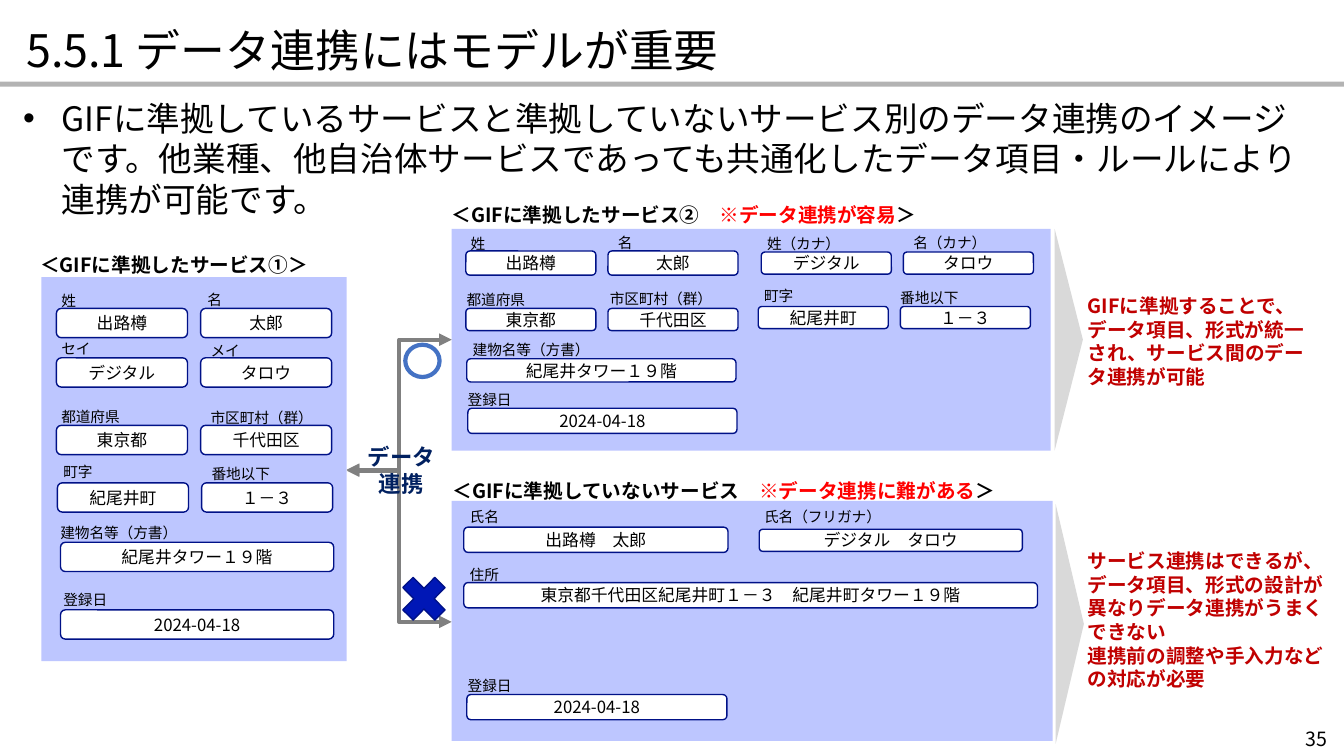
from dataclasses import dataclass

from lxml import etree
from pptx import Presentation
from pptx import util as u
from pptx.dml.color import RGBColor
from pptx.enum import shapes, text
from pptx.oxml import ns

SHAPE = shapes.MSO_SHAPE
ALIGN = text.PP_ALIGN


@dataclass(frozen=True)
class Theme:
    font: str = "Noto Sans CJK JP"
    ink: str = "000000"
    alert: str = "FF0000"
    remark: str = "C00000"
    link_ink: str = "002060"
    rule: str = "B3B3B3"
    panel: str = "BDC6FF"
    field: str = "FFFFFF"
    outline: str = "001187"
    cross: str = "0017B6"
    circle: str = "4472C4"
    arrow: str = "808080"
    wedge: str = "D9D9D9"
    title_size: float = 32
    body_size: float = 24
    link_size: float = 16
    heading_size: float = 14
    value_size: float = 12
    label_size: float = 10.5


THEME = Theme()

# Each field: label, label left, label top, value, box left, top, width, height
SERVICE_1 = [
    ("姓", 0.51, 2.85, "出路樽", 0.56, 3.06, 1.3, 0.29),
    ("名", 1.96, 2.84, "太郎", 1.99, 3.06, 1.3, 0.29),
    ("セイ", 0.51, 3.32, "デジタル", 0.56, 3.55, 1.3, 0.29),
    ("メイ", 1.99, 3.34, "タロウ", 1.99, 3.55, 1.3, 0.29),
    ("都道府県", 0.51, 4.0, "東京都", 0.56, 4.22, 1.3, 0.29),
    ("市区町村（群）", 1.99, 4.01, "千代田区", 1.99, 4.22, 1.3, 0.29),
    ("町字", 0.53, 4.54, "紀尾井町", 0.57, 4.79, 1.3, 0.29),
    ("番地以下", 2.0, 4.56, "１－３", 2.0, 4.79, 1.3, 0.29),
    ("建物名等（方書）", 0.5, 5.15, "紀尾井タワー１９階", 0.6, 5.38, 2.71, 0.29),
    ("登録日", 0.53, 5.81, "2024-04-18", 0.6, 6.05, 2.71, 0.29),
]
SERVICE_2 = [
    ("姓", 4.57, 2.28, "出路樽", 4.62, 2.49, 1.29, 0.24),
    ("名", 6.03, 2.27, "太郎", 6.03, 2.49, 1.29, 0.24),
    ("姓（カナ）", 7.51, 2.28, "デジタル", 7.55, 2.5, 1.29, 0.22),
    ("名（カナ）", 8.96, 2.27, "タロウ", 8.96, 2.5, 1.29, 0.22),
    ("都道府県", 4.53, 2.84, "東京都", 4.62, 3.06, 1.29, 0.22),
    ("市区町村（群）", 5.95, 2.83, "千代田区", 6.03, 3.06, 1.29, 0.22),
    ("町字", 7.48, 2.8, "紀尾井町", 7.52, 3.04, 1.29, 0.22),
    ("番地以下", 8.83, 2.82, "１－３", 8.93, 3.04, 1.29, 0.22),
    ("建物名等（方書）", 4.59, 3.33, "紀尾井タワー１９階", 4.63, 3.56, 2.67, 0.23),
    ("登録日", 4.54, 3.83, "2024-04-18", 4.64, 4.05, 2.67, 0.25),
]
OTHER_SERVICE = [
    ("氏名", 4.56, 4.99, "出路樽　太郎", 4.6, 5.23, 2.62, 0.25),
    ("氏名（フリガナ）", 7.48, 4.99, "デジタル　タロウ", 7.53, 5.25, 2.61, 0.22),
    ("住所", 4.56, 5.56, "東京都千代田区紀尾井町１－３　紀尾井町タワー１９階",
     4.6, 5.78, 5.69, 0.25),
    ("登録日", 4.54, 6.67, "2024-04-18", 4.63, 6.89, 2.58, 0.25),
]


def rgb(code):
    return RGBColor.from_string(code)


def inches(*lengths):
    return [u.Inches(length) for length in lengths]


def write(frame, *paragraphs, size, color=THEME.ink, bold=False,
          align=ALIGN.LEFT, spacing=None):
    """Fill a frame; a paragraph is a string or a list of (text, colour)."""
    for index, content in enumerate(paragraphs):
        line = frame.paragraphs[0] if index == 0 else frame.add_paragraph()
        line.alignment = align
        line.space_before = u.Pt(0)
        line.line_spacing = spacing
        for words, ink in [(content, color)] if isinstance(content, str) else content:
            run = line.add_run()
            run.text = words
            run.font.name = THEME.font
            run.font.size = u.Pt(size)
            run.font.bold = bold
            run.font.color.rgb = rgb(ink)
            etree.SubElement(run.font._element, ns.qn("a:ea"), typeface=THEME.font)


def add_text(parent, at, *paragraphs, wrap=True, **style):
    box = parent.add_textbox(*inches(*at))
    box.text_frame.word_wrap = wrap
    box.text_frame.auto_size = text.MSO_AUTO_SIZE.SHAPE_TO_FIT_TEXT
    write(box.text_frame, *paragraphs, **style)
    return box


def add_block(parent, kind, at, fill=None, line=None, width=1, rotation=0):
    block = parent.add_shape(kind, *inches(*at))
    block.shadow.inherit = False
    block.rotation = rotation
    if fill:
        block.fill.solid()
        block.fill.fore_color.rgb = rgb(fill)
    else:
        block.fill.background()
    if line:
        block.line.color.rgb = rgb(line)
        block.line.width = u.Pt(width)
    else:
        block.line.fill.background()
    return block


def add_field(parent, label, label_left, label_top, value, *at):
    box = add_block(parent, SHAPE.ROUNDED_RECTANGLE, at, THEME.field, THEME.outline)
    box.text_frame.vertical_anchor = text.MSO_ANCHOR.MIDDLE
    write(box.text_frame, value, size=THEME.value_size, align=ALIGN.CENTER)
    label_width = 0.2 + len(label) * THEME.label_size / 72
    add_text(parent, (label_left, label_top, label_width, 0.28), label,
             wrap=False, size=THEME.label_size)


def add_service(slide, panel_at, fields, heading_at, heading):
    group = slide.shapes.add_group_shape().shapes
    add_block(group, SHAPE.RECTANGLE, panel_at, THEME.panel)
    for field in fields:
        add_field(group, *field)
    add_text(group, heading_at, heading, wrap=False,
             size=THEME.heading_size, bold=True)


def add_link(slide, *ends):
    link = slide.shapes.add_connector(shapes.MSO_CONNECTOR.ELBOW, *inches(*ends))
    link.line.color.rgb = rgb(THEME.arrow)
    link.line.width = u.Pt(3)
    for end in ("a:headEnd", "a:tailEnd"):
        etree.SubElement(link.line._get_or_add_ln(), ns.qn(end), type="triangle")
    etree.SubElement(link._element.spPr, ns.qn("a:effectLst"))


def add_text_shadow(box):
    for line in box.text_frame.paragraphs:
        for run in line.runs:
            effects = etree.Element(ns.qn("a:effectLst"))
            shadow = etree.SubElement(effects, ns.qn("a:outerShdw"), blurRad="38100",
                                      dist="38100", dir="2700000", algn="tl")
            ink = etree.SubElement(shadow, ns.qn("a:srgbClr"), val=THEME.ink)
            etree.SubElement(ink, ns.qn("a:alpha"), val="43000")
            run.font._element.insert(1, effects)


def fill_placeholder(holder, at, words, **style):
    holder.left, holder.top, holder.width, holder.height = inches(*at)
    holder.text_frame.auto_size = text.MSO_AUTO_SIZE.NONE
    write(holder.text_frame, words, **style)


def add_bullet(line):
    props = line._p.get_or_add_pPr()
    props.set("marL", str(u.Inches(0.38)))
    props.set("indent", str(-u.Inches(0.38)))
    etree.SubElement(props, ns.qn("a:buChar"), char="•")


def main():
    deck = Presentation()
    deck.slide_width, deck.slide_height = inches(13.33, 7.5)
    slide = deck.slides.add_slide(deck.slide_layouts[1])

    # Title, rule, lead text and page number
    add_block(slide.shapes, SHAPE.RECTANGLE, (0, 0.81, 13.33, 0.05), THEME.rule)
    fill_placeholder(slide.shapes.title, (0.16, 0.23, 12.57, 0.59),
                     "5.5.1 データ連携にはモデルが重要", size=THEME.title_size, spacing=0.9)
    lead = slide.placeholders[1]
    add_bullet(lead.text_frame.paragraphs[0])
    fill_placeholder(
        lead, (0.13, 0.92, 12.91, 1.31),
        "GIFに準拠しているサービスと準拠していないサービス別のデータ連携のイメージです。"
        "他業種、他自治体サービスであっても共通化したデータ項目・ルールにより連携が可能です。",
        size=THEME.body_size)
    add_text(slide.shapes, (12.55, 7.16, 0.71, 0.33), "35",
             size=THEME.heading_size, align=ALIGN.RIGHT)

    # Services
    add_service(slide, (4.48, 2.27, 5.94, 2.2), SERVICE_2, (4.38, 1.96, 4.86, 0.34),
                [("＜GIFに準拠したサービス②　", THEME.ink),
                 ("※データ連携が容易", THEME.alert), ("＞", THEME.ink)])
    add_service(slide, (4.48, 4.97, 5.96, 2.38), OTHER_SERVICE, (4.39, 4.7, 5.65, 0.34),
                [("＜GIFに準拠していないサービス　", THEME.ink),
                 ("※データ連携に難がある", THEME.alert), ("＞", THEME.ink)])
    add_service(slide, (0.41, 2.75, 3.03, 3.81), SERVICE_1, (0.3, 2.46, 2.9, 0.34),
                "＜GIFに準拠したサービス①＞")

    # Outcomes
    outcomes = [
        ((9.5, 3.23, 2.2, 0.28), (10.69, 2.87, 2.53, 1.04),
         ["GIFに準拠することで、データ項目、形式が統一され、サービス間のデータ連携が可能"]),
        ((9.42, 6.05, 2.38, 0.28), (10.69, 5.4, 2.57, 1.51),
         ["サービス連携はできるが、データ項目、形式の設計が異なりデータ連携がうまくできない",
          "連携前の調整や手入力などの対応が必要"]),
    ]
    for wedge_at, remark_at, remarks in outcomes:
        add_block(slide.shapes, SHAPE.ISOSCELES_TRIANGLE, wedge_at, THEME.wedge, rotation=90)
        add_text(slide.shapes, remark_at, *remarks, size=THEME.heading_size,
                 color=THEME.remark, bold=True)

    # Links between services
    add_link(slide, 3.44, 4.66, 4.48, 3.37)
    add_link(slide, 3.44, 4.67, 4.48, 6.17)
    link_label = add_text(slide.shapes, (3.54, 4.35, 0.88, 0.64), "データ", "連携", wrap=False,
                          size=THEME.link_size, color=THEME.link_ink, bold=True,
                          align=ALIGN.CENTER)
    add_text_shadow(link_label)
    add_block(slide.shapes, SHAPE.FLOWCHART_CONNECTOR, (4.02, 3.42, 0.34, 0.32),
              line=THEME.circle, width=3)
    add_block(slide.shapes, SHAPE.MATH_MULTIPLY, (3.9, 5.63, 0.61, 0.62),
              THEME.cross, THEME.outline)

    deck.save("out.pptx")


if __name__ == "__main__":
    main()
